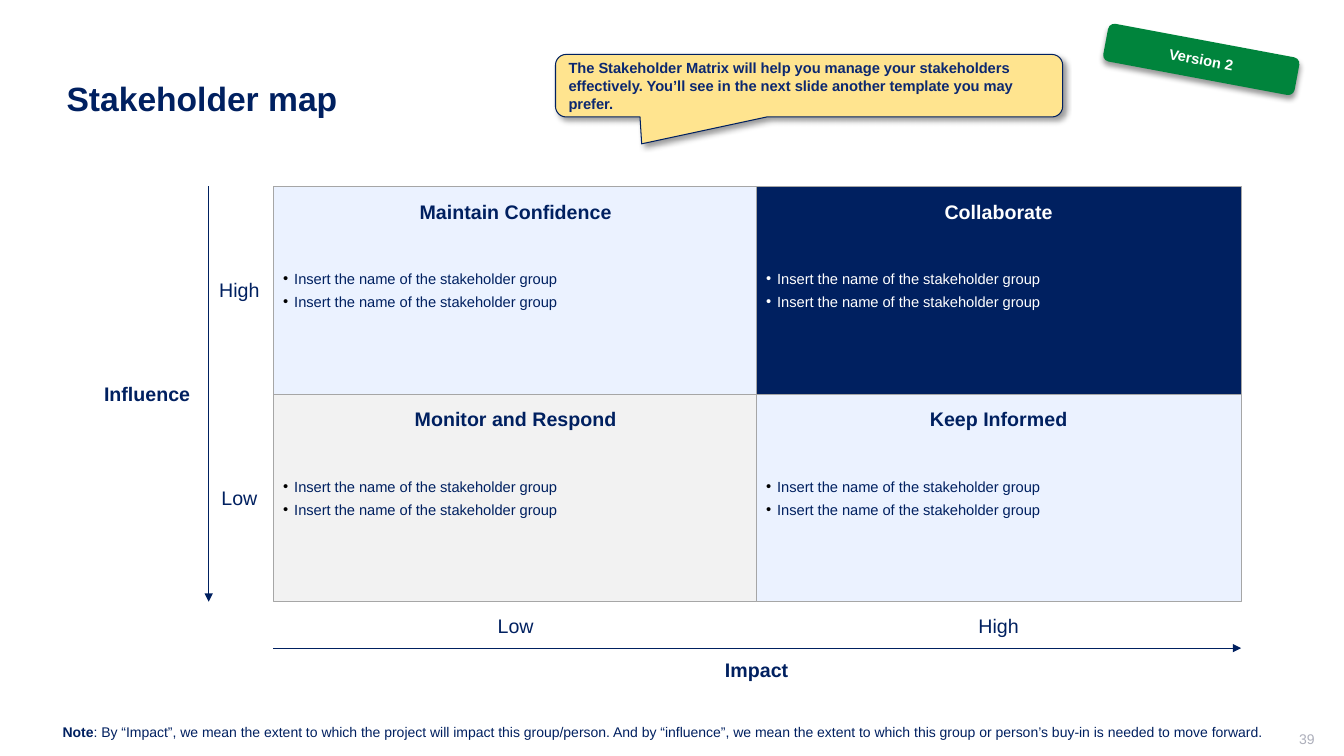
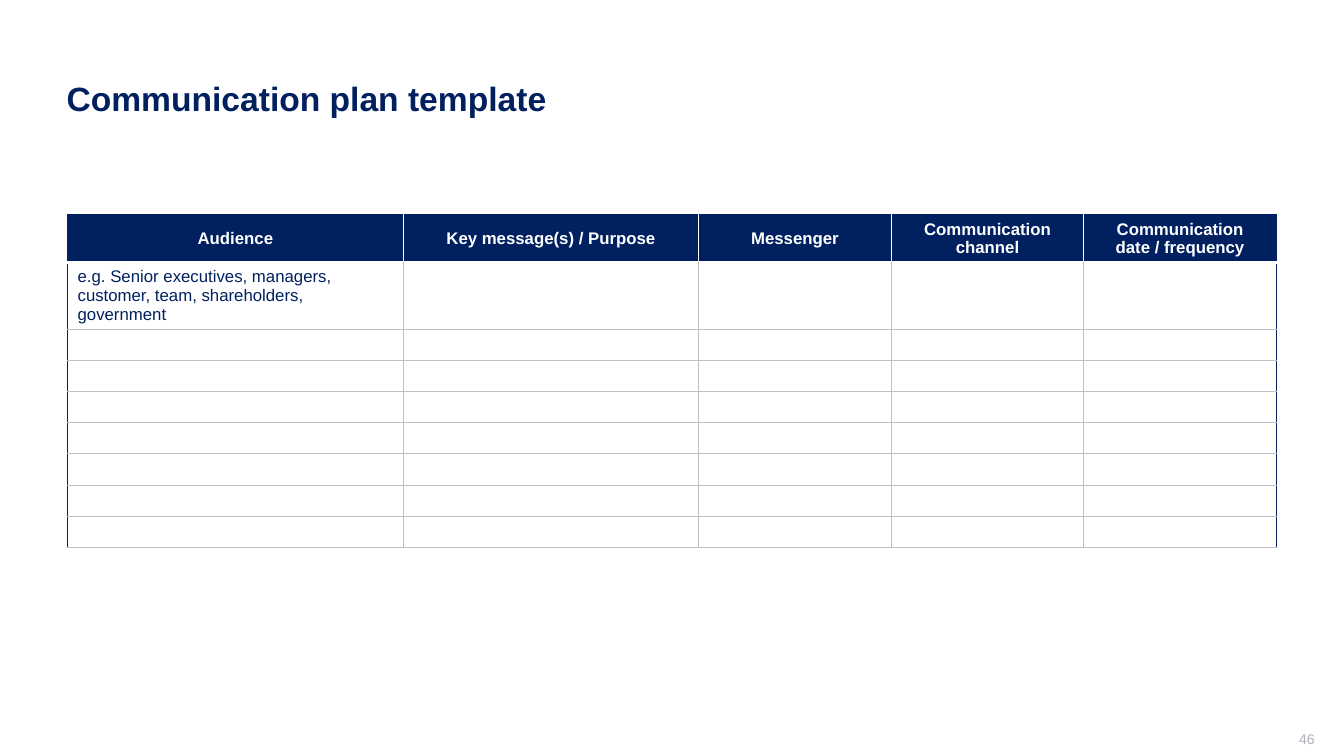
from dataclasses import dataclass, replace
from itertools import product

from lxml.etree import SubElement
from pptx import Presentation
from pptx.dml.color import RGBColor
from pptx.enum.shapes import MSO_CONNECTOR, MSO_SHAPE
from pptx.enum.text import MSO_ANCHOR, MSO_AUTO_SIZE, PP_ALIGN
from pptx.oxml.ns import qn
from pptx.util import Emu, Pt

EMU_PER_PX = 9144


@dataclass(frozen=True)
class Theme:
    font: str = "Arial"
    navy: str = "002060"
    callout_ink: str = "0C2870"
    white: str = "FFFFFF"
    black: str = "000000"
    pale_blue: str = "EBF2FF"
    pale_grey: str = "F2F2F2"
    card_line: str = "A6A6A6"
    grid_line: str = "BFBFBF"
    page_number: str = "ADAFBB"
    yellow: str = "FFE48F"
    green: str = "00843C"
    title_size: float = 24
    label_size: float = 14
    table_size: float = 12
    body_size: float = 10.5
    note_size: float = 10


THEME = Theme()


@dataclass(frozen=True)
class Style:
    size: float
    color: str = THEME.navy
    bold: bool = False
    align: PP_ALIGN = PP_ALIGN.LEFT
    space: float = 0


TITLE = Style(THEME.title_size, bold=True)
NUMBER = Style(THEME.note_size, THEME.page_number, align=PP_ALIGN.RIGHT)
NOTE = Style(THEME.note_size)
LABEL = Style(THEME.label_size, align=PP_ALIGN.CENTER)
HEADING = replace(LABEL, bold=True)
BULLET = Style(THEME.body_size, space=2)
CALLOUT = Style(THEME.body_size, THEME.callout_ink, bold=True, space=3)
BADGE = Style(THEME.body_size, THEME.white, bold=True, align=PP_ALIGN.CENTER)
TABLE_HEAD = Style(THEME.table_size, THEME.white, bold=True, align=PP_ALIGN.CENTER)
TABLE_BODY = Style(THEME.table_size)

NARROW = (10, 5, 10, 5)
WIDE = (20, 10, 20, 10)

CARD_LEFT, CARD_TOP, CARD_WIDTH, CARD_HEIGHT = 271, 185, 481, 206
COLUMN_PITCH = 479
MATRIX_RIGHT = CARD_LEFT + COLUMN_PITCH + CARD_WIDTH
MATRIX_BOTTOM = CARD_TOP + 2 * CARD_HEIGHT
LABEL_WIDTH, LABEL_HEIGHT = 61, 34
LEVELS = ("Low", "High")


def px(length):
    return Emu(length * EMU_PER_PX)


def rgb(color):
    return RGBColor.from_string(color)


def format_span(span, style):
    span.font.name = THEME.font
    span.font.size = Pt(style.size)
    span.font.bold = style.bold
    span.font.color.rgb = rgb(style.color)


def write(frame, text, style):
    frame.text = text
    for para in frame.paragraphs:
        para.alignment = style.align
        para.space_before = para.space_after = Pt(style.space)
        for span in para.runs:
            format_span(span, style)


def set_frame(frame, insets, anchor, wrap=True):
    (frame.margin_left, frame.margin_top,
     frame.margin_right, frame.margin_bottom) = map(px, insets)
    frame.vertical_anchor = anchor
    frame.word_wrap = wrap


def add_text(page, area, text, style, insets=NARROW, anchor=MSO_ANCHOR.TOP, wrap=True):
    box = page.shapes.add_textbox(*map(px, area))
    set_frame(box.text_frame, insets, anchor, wrap)
    box.text_frame.auto_size = MSO_AUTO_SIZE.NONE
    write(box.text_frame, text, style)
    return box


def add_panel(page, preset, area, fill, text, style, line=None):
    panel = page.shapes.add_shape(preset, *map(px, area))
    panel.shadow.inherit = False
    panel.fill.solid()
    panel.fill.fore_color.rgb = rgb(fill)
    if line:
        panel.line.color.rgb = rgb(line)
        panel.line.width = Pt(0.75)
    else:
        panel.line.fill.background()
    set_frame(panel.text_frame, NARROW, MSO_ANCHOR.MIDDLE)
    write(panel.text_frame, text, style)
    return panel


def add_color(parent, color):
    solid = SubElement(parent, qn("a:solidFill"))
    return SubElement(solid, qn("a:srgbClr"), val=color)


def cast_shadow(panel, degrees):
    effects = panel._element.spPr.find(qn("a:effectLst"))
    shadow = SubElement(effects, qn("a:outerShdw"), blurRad=str(Pt(4)),
                        dist=str(Pt(3)), dir=str(degrees * 60000))
    color = SubElement(shadow, qn("a:srgbClr"), val=THEME.black)
    SubElement(color, qn("a:alpha"), val="40000")


def add_bullets(frame, color):
    for para in frame.paragraphs:
        settings = para._p.get_or_add_pPr()
        settings.set("marL", str(px(11)))
        settings.set("indent", str(px(-11)))
        SubElement(SubElement(settings, qn("a:buClr")), qn("a:srgbClr"), val=color)
        SubElement(settings, qn("a:buFont"), typeface=THEME.font)
        SubElement(settings, qn("a:buChar"), char="•")


def add_arrow(page, start, end):
    arrow = page.shapes.add_connector(MSO_CONNECTOR.STRAIGHT, *map(px, start + end))
    arrow.line.color.rgb = rgb(THEME.navy)
    arrow.line.width = Pt(0.5)
    SubElement(arrow.line._get_or_add_ln(), qn("a:tailEnd"), type="triangle")
    SubElement(arrow._element.spPr, qn("a:effectLst"))


def add_page(deck, title, number):
    page = deck.slides.add_slide(deck.slide_layouts[5])
    box = page.shapes.title
    box.left, box.top, box.width, box.height = map(px, (56, 40, 1211, 119))
    set_frame(box.text_frame, NARROW, MSO_ANCHOR.MIDDLE)
    write(box.text_frame, title, TITLE)
    box.text_frame.paragraphs[0].line_spacing = 0.9
    add_text(page, (1004, 725, 300, 21), number, NUMBER, (10, 0, 0, 5), MSO_ANCHOR.MIDDLE)
    return page


def add_quadrant(page, row, column, heading, fill):
    left = CARD_LEFT + column * COLUMN_PITCH
    top = CARD_TOP + row * CARD_HEIGHT
    dark = fill == THEME.navy
    ink = THEME.white if dark else THEME.navy
    names = "\n".join(["Insert the name of the stakeholder group"] * 2)
    card = add_panel(page, MSO_SHAPE.RECTANGLE, (left, top, CARD_WIDTH, CARD_HEIGHT),
                     fill, names, replace(BULLET, color=ink), THEME.card_line)
    add_bullets(card.text_frame, THEME.white if dark else THEME.black)
    add_text(page, (left + 76, top + 3, CARD_WIDTH - 152, 43), heading,
             replace(HEADING, color=ink), WIDE)


def add_axes(page):
    for index, level in enumerate(LEVELS):
        middle = CARD_LEFT + CARD_WIDTH // 2 + index * COLUMN_PITCH
        add_text(page, (middle - LABEL_WIDTH // 2, 604, LABEL_WIDTH, LABEL_HEIGHT),
                 level, LABEL, wrap=False)
    for index, level in enumerate(reversed(LEVELS)):
        middle = CARD_TOP + CARD_HEIGHT // 2 + index * CARD_HEIGHT
        add_text(page, (207, middle - LABEL_HEIGHT // 2, LABEL_WIDTH, LABEL_HEIGHT),
                 level, LABEL, wrap=False)
    add_text(page, (83, 369, 126, 43), "Influence", HEADING, WIDE, wrap=False)
    add_text(page, (699, 643, 103, 43), "Impact", HEADING, WIDE, wrap=False)
    add_arrow(page, (207, CARD_TOP), (207, MATRIX_BOTTOM))
    add_arrow(page, (CARD_LEFT, 643), (MATRIX_RIGHT, 643))


def add_note(page):
    box = add_text(page, (62, 718, 1201, 17), "Note", replace(NOTE, bold=True), (0, 0, 0, 0))
    span = box.text_frame.paragraphs[0].add_run()
    span.text = (": By “Impact”, we mean the extent to which the project will impact this "
                 "group/person. And by “influence”, we mean the extent to which this group "
                 "or person’s buy-in is needed to move forward.")
    format_span(span, NOTE)


def set_borders(cell, borders):
    settings = cell._tc.get_or_add_tcPr()
    for side, (color, width) in zip("LRTB", borders):
        line = SubElement(settings, qn(f"a:ln{side}"), w=str(Pt(width)))
        add_color(line, color)


def cell_borders(row, first, last):
    edge, grid = (THEME.navy, 0.75), (THEME.grid_line, 0.75)
    divider = (THEME.white, 1)
    inner = grid if row else divider
    top = {0: edge, 1: divider}.get(row, grid)
    bottom = grid if row else (THEME.white, 3)
    return edge if first else inner, edge if last else inner, top, bottom


def add_plan_table(page, headers, widths, example, body_rows):
    heights = [38] + [31] * body_rows
    frame = page.shapes.add_table(len(heights), len(widths),
                                  *map(px, (67, 213, sum(widths), sum(heights))))
    table = frame.table
    table.first_row = table.horz_banding = False
    for column, width in zip(table.columns, widths):
        column.width = px(width)
    for row, height in zip(table.rows, heights):
        row.height = px(height)
    texts = {(0, index): header for index, header in enumerate(headers)}
    texts[1, 0] = example
    for row, column in product(range(len(heights)), range(len(widths))):
        cell = table.cell(row, column)
        set_borders(cell, cell_borders(row, column == 0, column == len(widths) - 1))
        if row == 0:
            cell.fill.solid()
            cell.fill.fore_color.rgb = rgb(THEME.navy)
            cell.vertical_anchor = MSO_ANCHOR.MIDDLE
        else:
            cell.fill.background()
        text = texts.get((row, column), "")
        write(cell.text_frame, text, TABLE_BODY if row else TABLE_HEAD)
        if not text:
            SubElement(cell.text_frame.paragraphs[0]._p, qn("a:endParaRPr"),
                       sz=str(THEME.table_size * 100))


def build_stakeholder_map(deck):
    page = add_page(deck, "Stakeholder map", "39")
    add_note(page)
    add_axes(page)
    quadrants = (("Maintain Confidence", THEME.pale_blue), ("Collaborate", THEME.navy),
                 ("Monitor and Respond", THEME.pale_grey), ("Keep Informed", THEME.pale_blue))
    for index, (heading, fill) in enumerate(quadrants):
        add_quadrant(page, *divmod(index, 2), heading, fill)
    callout = add_panel(page, MSO_SHAPE.ROUNDED_RECTANGULAR_CALLOUT, (551, 54, 503, 62),
                        THEME.yellow,
                        "The Stakeholder Matrix will help you manage your stakeholders "
                        "effectively. You’ll see in the next slide another template you "
                        "may prefer.", CALLOUT, THEME.navy)
    for index, value in enumerate((-0.33, 0.93, 0.17)):
        callout.adjustments[index] = value
    cast_shadow(callout, 45)
    badge = add_panel(page, MSO_SHAPE.ROUNDED_RECTANGLE, (1095, 40, 193, 38),
                      THEME.green, "Version 2", BADGE)
    badge.rotation = 10.6
    cast_shadow(badge, 90)


def build_communication_plan(deck):
    page = add_page(deck, "Communication plan template", "46")
    headers = ("Audience", "Key message(s) / Purpose", "Messenger",
               "Communication channel", "Communication date / frequency")
    add_plan_table(page, headers, (333, 293, 191, 191, 191),
                   "e.g. Senior executives, managers, customer, team, shareholders, government", 8)


def main():
    deck = Presentation()
    deck.slide_width, deck.slide_height = px(1333), px(750)
    build_stakeholder_map(deck)
    build_communication_plan(deck)
    deck.save("out.pptx")


if __name__ == "__main__":
    main()
